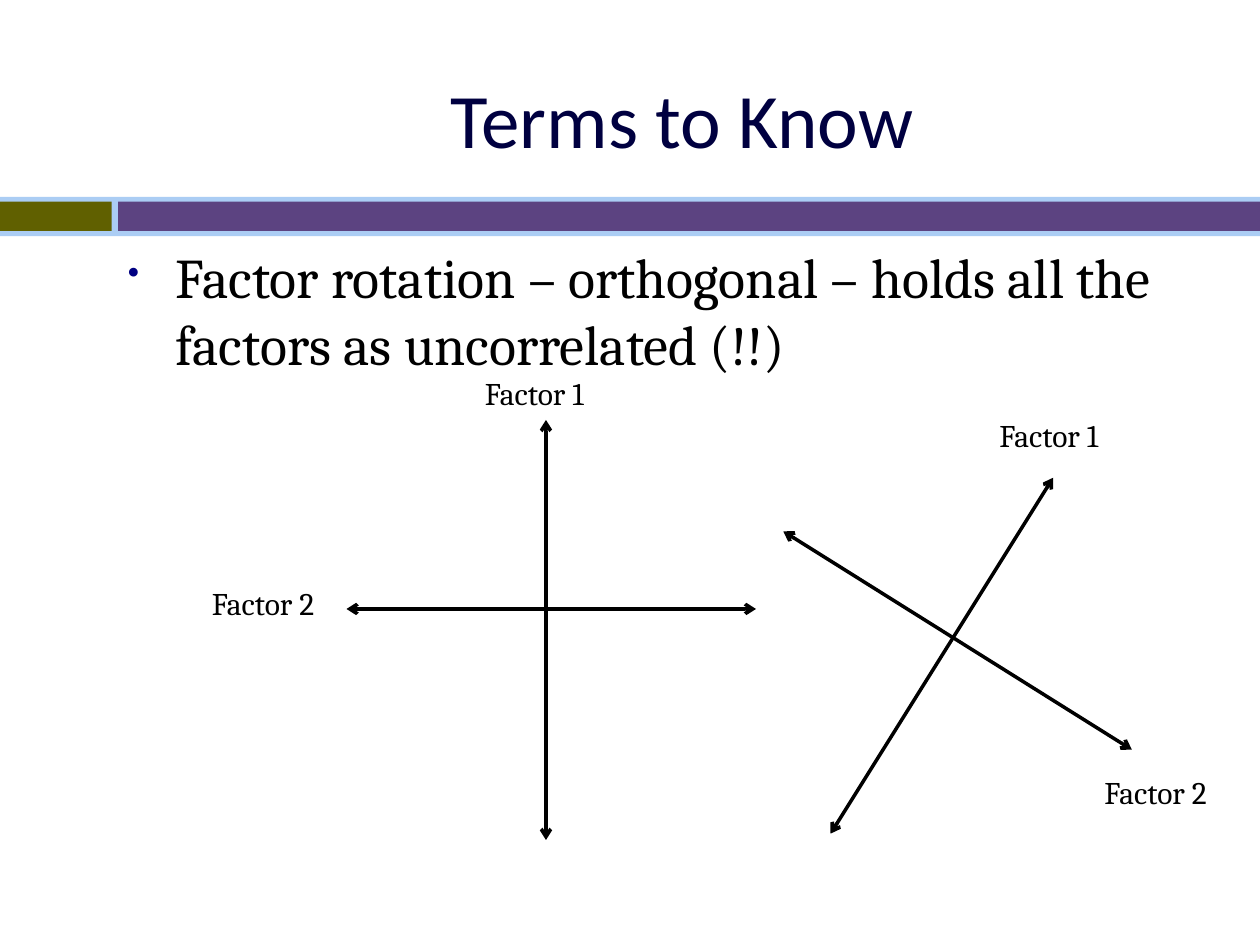
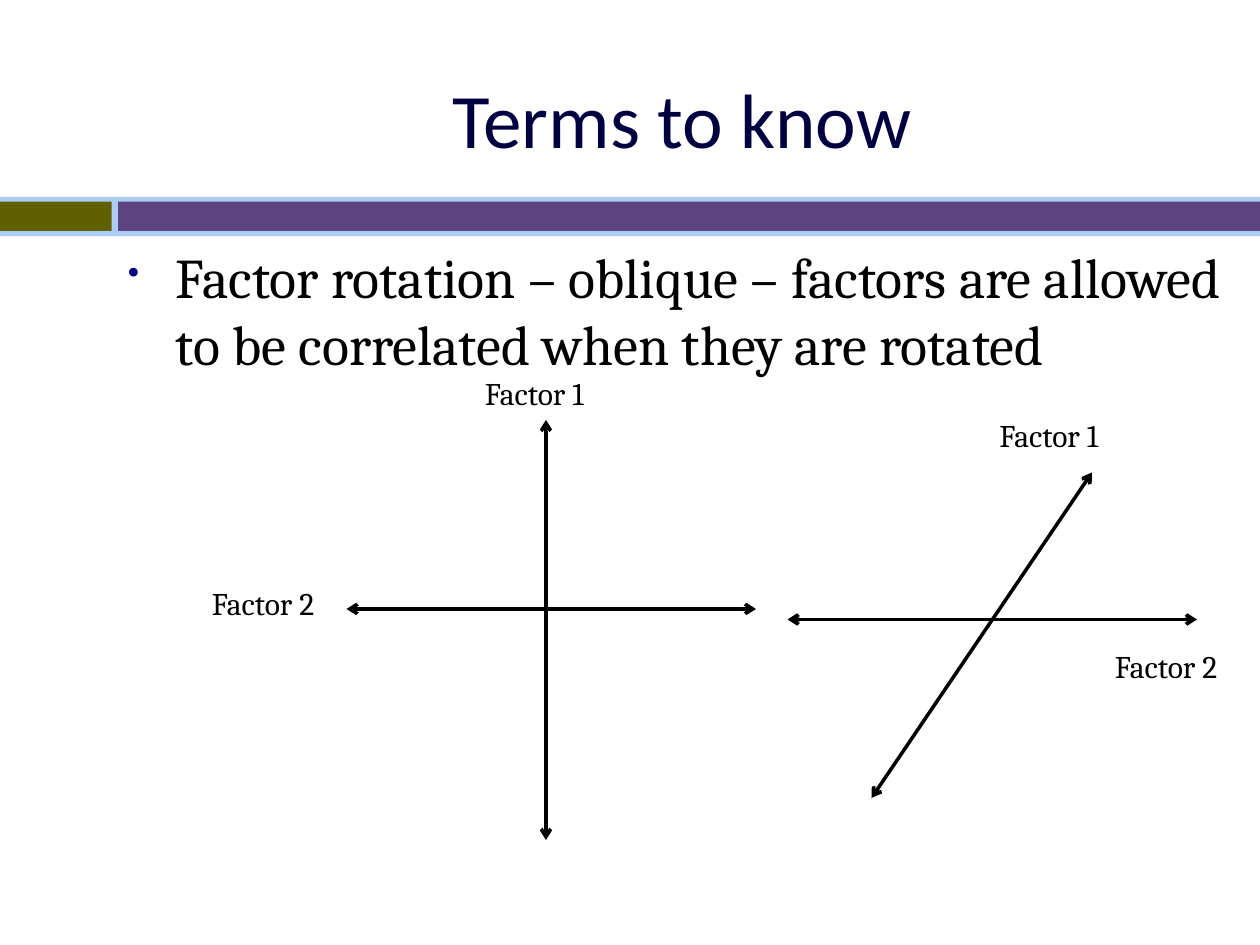
import pptx
import pptx.util
import pptx.dml.color
import pptx.enum.shapes
import pptx.enum.text
import pptx.oxml.ns
import lxml.etree

COLORS = {"ink": "000000", "title": "000040", "bullet": "000082",
          "edge": "ABCDF4", "olive": "606000", "plum": "5C4381"}
COLS, ROWS = 120, 90
CELL = pptx.util.Inches(10) / COLS
HEAD, BODY = "Calibri", "Cambria"


def grid(*cells):
    return [round(cell * CELL) for cell in cells]


def color(name):
    return pptx.dml.color.RGBColor.from_string(COLORS[name])


def add_tag(parent, tag, **attrs):
    return lxml.etree.SubElement(parent, pptx.oxml.ns.qn(tag), attrs)


def add_band(slide, area, fill):
    band = slide.shapes.add_shape(
        pptx.enum.shapes.MSO_SHAPE.RECTANGLE, *grid(*area))
    band.shadow.inherit = False
    band.fill.solid()
    band.fill.fore_color.rgb = color(fill)
    band.line.fill.background()


def add_text(slide, area, text, size, face=BODY, ink="ink", wrap=True):
    box = slide.shapes.add_textbox(*grid(*area))
    frame = box.text_frame
    frame.word_wrap = wrap
    frame.text = text
    font = frame.paragraphs[0].runs[0].font
    font.name, font.size = face, pptx.util.Pt(size)
    font.color.rgb = color(ink)
    return frame


def add_title(slide, text):
    frame = add_text(slide, (11, 3.75, 108, 15), text, 44, HEAD, "title")
    frame.vertical_anchor = pptx.enum.text.MSO_ANCHOR.MIDDLE
    frame.paragraphs[0].alignment = pptx.enum.text.PP_ALIGN.CENTER


def add_bullet(slide, text):
    frame = add_text(slide, (11, 22.5, 108, 63.5), text, 32)
    props = frame.paragraphs[0]._p.get_or_add_pPr()
    indent = pptx.util.Inches(0.38)
    props.set("marL", str(indent))
    props.set("indent", str(-indent))
    tint = add_tag(props, "a:buClr")
    add_tag(tint, "a:srgbClr", val=COLORS["bullet"])
    add_tag(props, "a:buSzPct", val="60000")
    add_tag(props, "a:buChar", char="•")


def add_axis(slide, ends):
    axis = slide.shapes.add_connector(
        pptx.enum.shapes.MSO_CONNECTOR.STRAIGHT, *grid(*ends))
    axis.line.color.rgb = color("ink")
    axis.line.width = pptx.util.Pt(2)
    line = axis.line._get_or_add_ln()
    for end in ("a:headEnd", "a:tailEnd"):
        add_tag(line, end, type="arrow")
    add_tag(axis._element.spPr, "a:effectLst")


def add_plot(slide, axes, spots):
    """Draw a pair of axes and number their labels."""
    for ends in axes:
        add_axis(slide, ends)
    for number, spot in enumerate(spots, 1):
        add_text(slide, (*spot, 13, 4.8), f"Factor {number}", 18, wrap=False)


def add_page(deck, title, text, axes, spots):
    slide = deck.slides.add_slide(deck.slide_layouts[6])
    # Shared bands
    add_band(slide, (0, 18.75, COLS, 3.75), "edge")
    add_band(slide, (0, 19.2, 10.65, 2.8), "olive")
    add_band(slide, (11.25, 19.2, COLS - 11.25, 2.8), "plum")
    # Heading and definition
    add_title(slide, title)
    add_bullet(slide, text)
    # Axes before and after rotation
    add_plot(slide, [(52, 40, 52, 80), (33, 58, 72, 58)], [(45, 35), (19, 55)])
    add_plot(slide, axes, spots)


def main():
    deck = pptx.Presentation()
    deck.slide_width, deck.slide_height = grid(COLS, ROWS)
    add_page(deck, "Terms to Know",
             "Factor rotation – orthogonal – holds all the factors "
             "as uncorrelated (!!)",
             [(100.3, 45.5, 79.1, 79.4), (74.6, 50.6, 107.8, 71.4)],
             [(94, 39), (104, 73)])
    add_page(deck, "Terms to know",
             "Factor rotation – oblique – factors are allowed "
             "to be correlated when they are rotated",
             [(104, 45, 83, 76), (75, 59, 114, 59)],
             [(94, 39), (105, 61)])
    deck.save("out.pptx")


if __name__ == "__main__":
    main()
